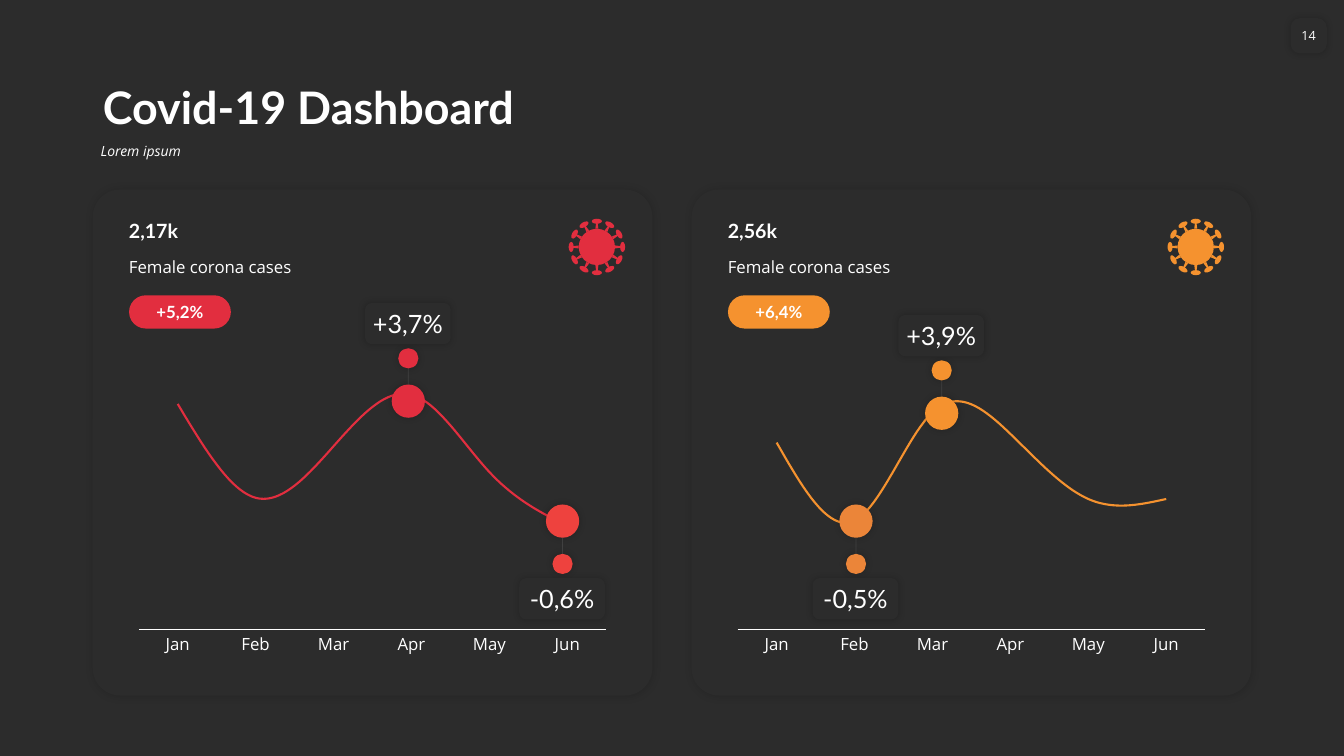
import dataclasses
import math

import lxml.etree
import pptx
import pptx.chart.data
import pptx.dml.color
import pptx.enum.chart
import pptx.enum.shapes
import pptx.enum.text
import pptx.oxml.ns
import pptx.util

Inches = pptx.util.Inches
Pt = pptx.util.Pt
Color = pptx.dml.color.RGBColor.from_string
Shape = pptx.enum.shapes.MSO_SHAPE
Align = pptx.enum.text.PP_ALIGN
Anchor = pptx.enum.text.MSO_ANCHOR
qn = pptx.oxml.ns.qn


@dataclasses.dataclass(frozen=True)
class Theme:
    dark: str = "2C2C2C"
    white: str = "FFFFFF"
    black: str = "000000"
    red: str = "E22E3F"
    light_red: str = "EE423E"
    orange: str = "F5922F"
    dull_orange: str = "EB8539"
    heading: str = "Lato"
    body: str = "Open Sans"
    title: int = 32
    callout: int = 18
    figure: int = 14
    label: int = 12
    subtitle: int = 10
    number: int = 9


theme = Theme()


def draw(shapes, kind, left, top, width, height, fill, shadow=None):
    shape = shapes.add_shape(kind, Inches(left), Inches(top), Inches(width), Inches(height))
    shape.fill.solid()
    shape.fill.fore_color.rgb = Color(fill)
    shape.line.fill.background()
    shape.shadow.inherit = False
    if shadow:
        opacity, blur, distance = shadow
        effects = shape._element.spPr.find(qn("a:effectLst"))
        outer = lxml.etree.SubElement(
            effects, qn("a:outerShdw"), blurRad=str(Pt(blur)), dist=str(Pt(distance)),
            dir=str(45 * 60000), algn="ctr", rotWithShape="0")
        tint = lxml.etree.SubElement(outer, qn("a:srgbClr"), val=theme.black)
        lxml.etree.SubElement(tint, qn("a:alpha"), val=str(opacity * 1000))
    return shape


def write(shape, text, size, font, align=Align.LEFT, anchor=Anchor.TOP, inset=(0.1, 0.05),
          bold=False, italic=False, wrap=True):
    frame = shape.text_frame
    frame.word_wrap = wrap
    frame.vertical_anchor = anchor
    frame.margin_left = frame.margin_right = Inches(inset[0])
    frame.margin_top = frame.margin_bottom = Inches(inset[1])
    para = frame.paragraphs[0]
    para.text = text
    para.alignment = align
    para.font.size = Pt(size)
    para.font.name = font
    para.font.bold = bold
    para.font.italic = italic
    para.font.color.rgb = Color(theme.white)
    return para


deck = pptx.Presentation()
deck.slide_width = Inches(13.33)
deck.slide_height = Inches(7.5)
page = deck.slides.add_slide(deck.slide_layouts[5])
page.background.fill.solid()
page.background.fill.fore_color.rgb = Color(theme.dark)

title = page.shapes.title
title.left, title.top, title.width, title.height = map(Inches, (0.92, 0.58, 11.5, 0.8))
write(title, "Covid-19 Dashboard", theme.title, theme.heading,
      anchor=Anchor.BOTTOM, bold=True).line_spacing = 0.9

subtitle = page.shapes.add_textbox(Inches(0.9), Inches(1.38), Inches(11.52), Inches(0.36))
write(subtitle, "Lorem ipsum", theme.subtitle, theme.body, italic=True).line_spacing = 0.9

glow = (20, 5, 0)
badge = draw(page.shapes, Shape.ROUNDED_RECTANGLE, 12.8, 0.18, 0.36, 0.35, theme.dark, glow)
badge.adjustments[0] = 0.267
write(badge, "14", theme.number, theme.body, Align.CENTER, Anchor.MIDDLE, (0, 0.05), wrap=False)

months = ("Jan", "Feb", "Mar", "Apr", "May", "Jun")
panels = [
    dict(cases="2,17k", change="+5,2%", color=theme.red, values=(96, 56, 78, 100, 67, 44),
         maximum=111, callouts=[("+3,7%", 4.05, 3.98, -1, theme.red),
                                ("-0,6%", 5.58, 5.17, 1, theme.light_red)]),
    dict(cases="2,56k", change="+6,4%", color=theme.orange, values=(86, 50, 100, 90, 60, 60),
         maximum=120, callouts=[("+3,9%", 9.34, 4.1, -1, theme.orange),
                                ("-0,5%", 8.49, 5.17, 1, theme.dull_orange)]),
]

for index, panel in enumerate(panels):
    left = 0.92 + index * 5.94
    color = panel["color"]
    card = draw(page.shapes, Shape.ROUNDED_RECTANGLE, left, 1.88, 5.55, 5.02, theme.dark, (15, 6, 1))
    card.adjustments[0] = 0.054

    cases = page.shapes.add_textbox(Inches(left + 0.26), Inches(2.11), Inches(5.01), Inches(0.34))
    write(cases, panel["cases"], theme.figure, theme.heading, anchor=Anchor.BOTTOM, bold=True)
    caption = page.shapes.add_textbox(Inches(left + 0.26), Inches(2.5), Inches(5.01), Inches(0.3))
    write(caption, "Female corona cases", theme.label, theme.body)

    pill = draw(page.shapes, Shape.ROUNDED_RECTANGLE, left + 0.36, 2.93, 1.01, 0.33, color)
    pill.adjustments[0] = 0.5
    write(pill, panel["change"], theme.label, theme.heading, Align.CENTER, Anchor.MIDDLE,
          (0, 0), bold=True)

    data = pptx.chart.data.CategoryChartData()
    data.categories = months
    data.add_series("Series 1", panel["values"])
    chart = page.shapes.add_chart(
        pptx.enum.chart.XL_CHART_TYPE.LINE, Inches(left + 0.36), Inches(3.6),
        Inches(4.83), Inches(2.97), data).chart
    chart.has_legend = False
    chart.has_title = False
    chart.font.size = Pt(theme.label)
    chart.font.name = theme.body
    chart.font.color.rgb = Color(theme.white)
    chart.plots[0].vary_by_categories = False
    chart.value_axis.visible = False
    chart.value_axis.has_major_gridlines = False
    chart.value_axis.minimum_scale = 0
    chart.value_axis.maximum_scale = panel["maximum"]
    axis = chart.category_axis
    axis.major_tick_mark = pptx.enum.chart.XL_TICK_MARK.NONE
    axis.format.line.color.rgb = Color(theme.white)
    axis.format.line.width = Pt(0.75)
    series = chart.plots[0].series[0]
    series.smooth = True
    series.marker.style = pptx.enum.chart.XL_MARKER_STYLE.NONE
    series.format.line.color.rgb = Color(color)
    series.format.line.width = Pt(1.5)

    for text, x, y, side, dot_color in panel["callouts"]:
        draw(page.shapes, Shape.OVAL, x - 0.165, y - 0.165, 0.33, 0.33, dot_color, glow)
        stem = page.shapes.add_connector(
            pptx.enum.shapes.MSO_CONNECTOR.STRAIGHT,
            Inches(x), Inches(y + side * 0.165), Inches(x), Inches(y + side * 0.325))
        stem.line.color.rgb = Color(theme.white)
        stem.line.width = Pt(0.5)
        tint = next(stem._element.iter(qn("a:srgbClr")))
        lxml.etree.SubElement(tint, qn("a:alpha"), val="10000")
        lxml.etree.SubElement(stem._element.spPr, qn("a:effectLst"))
        draw(page.shapes, Shape.OVAL, x - 0.1, y + side * 0.425 - 0.1, 0.2, 0.2, dot_color, glow)
        box = draw(page.shapes, Shape.ROUNDED_RECTANGLE, x - 0.43, y + side * 0.77 - 0.205,
                   0.85, 0.41, theme.dark, glow)
        write(box, text, theme.callout, theme.heading, Align.CENTER, Anchor.MIDDLE, (0.04, 0.05))

    virus = page.shapes.add_group_shape().shapes
    center_x, center_y = left + 5, 2.45
    draw(virus, Shape.OVAL, center_x - 0.18, center_y - 0.18, 0.36, 0.36, color)
    for angle in range(0, 360, 30):
        across, up = math.sin(math.radians(angle)), math.cos(math.radians(angle))
        for kind, radius, width, height in ((Shape.OVAL, 0.255, 0.1, 0.05),
                                            (Shape.TRAPEZOID, 0.21, 0.03, 0.06)):
            part = draw(virus, kind, center_x + radius * across - width / 2,
                        center_y - radius * up - height / 2, width, height, color)
            part.rotation = angle

deck.save("out.pptx")
